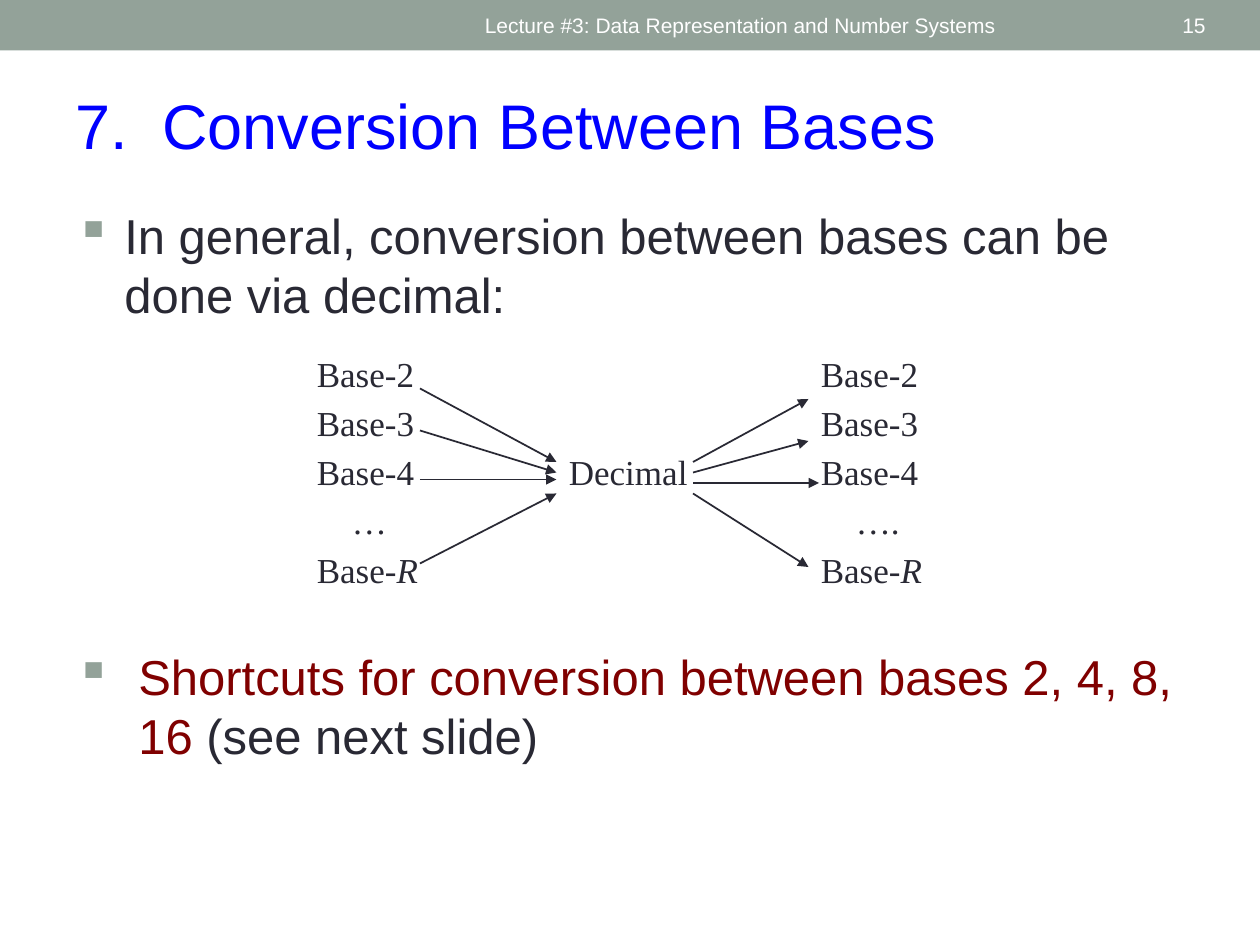
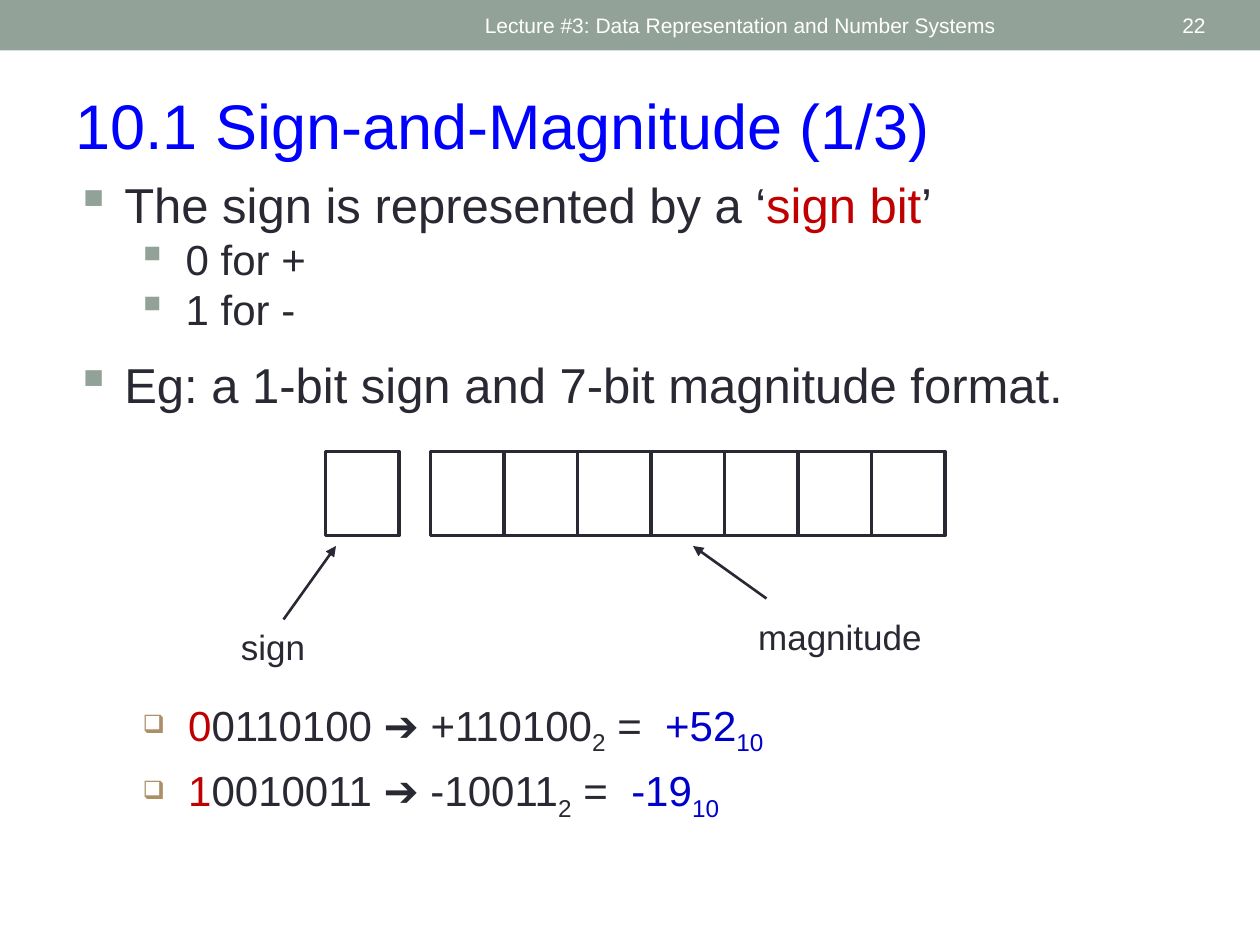
"""Builds two lecture slides on base conversion and sign-and-magnitude numbers."""
from dataclasses import dataclass

import pptx
import pptx.dml.color
import pptx.enum.shapes
import pptx.enum.text
import pptx.oxml.ns
import pptx.oxml.xmlchemy
import pptx.util
from lxml import etree

Pt = pptx.util.Pt
ALIGN = pptx.enum.text.PP_ALIGN
ANCHOR = pptx.enum.text.MSO_ANCHOR
qn = pptx.oxml.ns.qn


@dataclass(frozen=True)
class Theme:
    band: str = "93A299"
    title: str = "0000FF"
    ink: str = "292934"
    white: str = "FFFFFF"
    maroon: str = "800000"
    red: str = "C00000"
    blue: str = "0000CC"
    tan: str = "AD8F67"
    sans: str = "Arial"
    serif: str = "Times New Roman"
    title_size: int = 36
    body_size: int = 28
    detail_size: int = 24
    label_size: int = 20
    header_size: int = 12


theme = Theme()


def add_text(slide, box, paragraphs, size, color=theme.ink, font=theme.sans, anchor=ANCHOR.TOP):
    frame = slide.shapes.add_textbox(*map(Pt, box)).text_frame
    frame.word_wrap = True
    frame.vertical_anchor = anchor
    for index, (runs, style) in enumerate(paragraphs):
        paragraph = frame.paragraphs[0] if index == 0 else frame.add_paragraph()
        paragraph.alignment = style.get("align", ALIGN.LEFT)
        paragraph.space_before = Pt(style.get("before", 0))
        properties = paragraph._p.get_or_add_pPr()
        if "indent" in style:
            left, hang = style["indent"]
            properties.set("marL", str(Pt(left)))
            properties.set("indent", str(Pt(-hang)))
        if "bullet" in style:
            symbol, bullet_color, percent = style["bullet"]
            fill = etree.SubElement(properties, qn("a:buClr"))
            etree.SubElement(fill, qn("a:srgbClr"), val=bullet_color)
            etree.SubElement(properties, qn("a:buSzPct"), val=str(percent * 1000))
            etree.SubElement(properties, qn("a:buChar"), char=symbol)
        if "tabs" in style:
            stops = etree.SubElement(properties, qn("a:tabLst"))
            for stop in style["tabs"]:
                etree.SubElement(stops, qn("a:tab"), pos=str(Pt(stop)), algn="l")
        paragraph.font.name = font
        paragraph.font.size = Pt(style.get("size", size))
        for text, *change in runs:
            look = change[0] if change else {}
            run = paragraph.add_run()
            run.text = text
            run.font.color.rgb = pptx.dml.color.RGBColor.from_string(look.get("color", color))
            if look.get("italic"):
                run.font.italic = True
            if look.get("subscript"):
                run._r.get_or_add_rPr().set("baseline", "-25000")


def add_arrow(slide, start, end, width):
    arrow = slide.shapes.add_connector(
        pptx.enum.shapes.MSO_CONNECTOR.STRAIGHT, *map(Pt, (*start, *end)))
    arrow.line.color.rgb = pptx.dml.color.RGBColor.from_string(theme.ink)
    arrow.line.width = Pt(width)
    etree.SubElement(arrow.line._get_or_add_ln(), qn("a:tailEnd"), type="triangle")
    etree.SubElement(arrow._element.spPr, qn("a:effectLst"))


deck = pptx.Presentation()
deck.slide_width, deck.slide_height = Pt(720), Pt(540)

headings = [
    ("15", "7.\tConversion Between Bases", {"indent": (49.68, 49.68)}),
    ("22", "10.1 Sign-and-Magnitude (1/3)", {}),
]
for number, heading, style in headings:
    slide = deck.slides.add_slide(deck.slide_layouts[6])
    band = slide.shapes.add_shape(
        pptx.enum.shapes.MSO_SHAPE.RECTANGLE, 0, 0, deck.slide_width, Pt(28.8))
    band.shadow.inherit = False
    band.fill.solid()
    band.fill.fore_color.rgb = pptx.dml.color.RGBColor.from_string(theme.band)
    band.line.fill.background()
    add_text(slide, (270, 1.5, 324, 26),
             [([("Lecture #3: Data Representation and Number Systems",)], {})],
             theme.header_size, theme.white, anchor=ANCHOR.MIDDLE)
    add_text(slide, (36, 46, 648, 51), [([(heading,)], style)], theme.title_size, theme.title)
    add_text(slide, (628, 1.5, 68, 26), [([(number,)], {"align": ALIGN.RIGHT})],
             theme.header_size, theme.white, anchor=ANCHOR.MIDDLE)

conversion, magnitude = deck.slides
square = ("▪", theme.band, 100)
point = {"indent": (28, 28), "before": 6, "bullet": square}

add_text(conversion, (36, 114, 648, 90),
         [([("In general, conversion between bases can be done via decimal:",)], point)],
         theme.body_size)
add_text(conversion, (36, 366, 648, 84),
         [([("Shortcuts for conversion between bases 2, 4, 8, 16 ", {"color": theme.maroon}),
            ("(see next slide)",)], {**point, "indent": (36, 36)})],
         theme.body_size)

row = {"before": 4, "tabs": (144, 288)}
italic = {"italic": True}
add_text(conversion, (174, 198, 382, 146), [
    ([("Base-2\t\tBase-2",)], row),
    ([("Base-3\t\tBase-3",)], row),
    ([("Base-4\tDecimal\tBase-4",)], row),
    ([("\t…\t….",)], {**row, "tabs": (20, 308)}),
    ([("Base-",), ("R", italic), ("\t\tBase-",), ("R", italic)], row),
], theme.label_size, font=theme.serif)

for base_y, decimal_y in [(222, 264), (246, 270), (274, 274), (322, 282)]:
    add_arrow(conversion, (240, base_y), (318, decimal_y), 1)
for decimal_y, base_x, base_y in [(264, 462, 228), (270, 462, 252), (276, 468, 276), (282, 462, 324)]:
    add_arrow(conversion, (396, decimal_y), (base_x, base_y), 1)

sign_value = {"indent": (63, 28), "bullet": square, "size": theme.detail_size}
red, blue = {"color": theme.red}, {"color": theme.blue}
add_text(magnitude, (36, 96, 648, 386), [
    ([("The sign is represented by a ‘",), ("sign bit", red), ("’",)], point),
    ([("0 for +",)], sign_value),
    ([("1 for -",)], sign_value),
    ([("Eg: a 1-bit sign and 7-bit magnitude format.",)], {**point, "before": 12}),
], theme.body_size)

bit_width = 42
for bit_x in [186] + [246 + bit_width * place for place in range(7)]:
    bit = magnitude.shapes.add_shape(
        pptx.enum.shapes.MSO_SHAPE.RECTANGLE, *map(Pt, (bit_x, 258, bit_width, 48)))
    bit.shadow.inherit = False
    bit.fill.background()
    bit.line.color.rgb = pptx.dml.color.RGBColor.from_string(theme.ink)
    bit.line.width = Pt(2)

for label, box, start, end in [
    ("sign", (120, 354, 72, 31), (162, 354), (192, 312)),
    ("magnitude", (426, 348, 108, 31), (438, 342), (396, 312)),
]:
    add_text(magnitude, box, [([(label,)], {"align": ALIGN.CENTER})], theme.label_size)
    add_arrow(magnitude, start, end, 1.5)

example = {"indent": (52.5, 26), "before": 4.8, "bullet": ("❑", theme.tan, 60)}
subscript = {"subscript": True}
add_text(magnitude, (48, 396, 648, 72), [
    ([(sign_bit, red), (binary,), ("2", subscript), (" =  ",),
      (value, blue), ("10", {**blue, **subscript})], example)
    for sign_bit, binary, value in [
        ("0", "0110100 ➔ +110100", "+52"),
        ("1", "0010011 ➔ -10011", "-19"),
    ]
], theme.detail_size)

deck.save("out.pptx")
